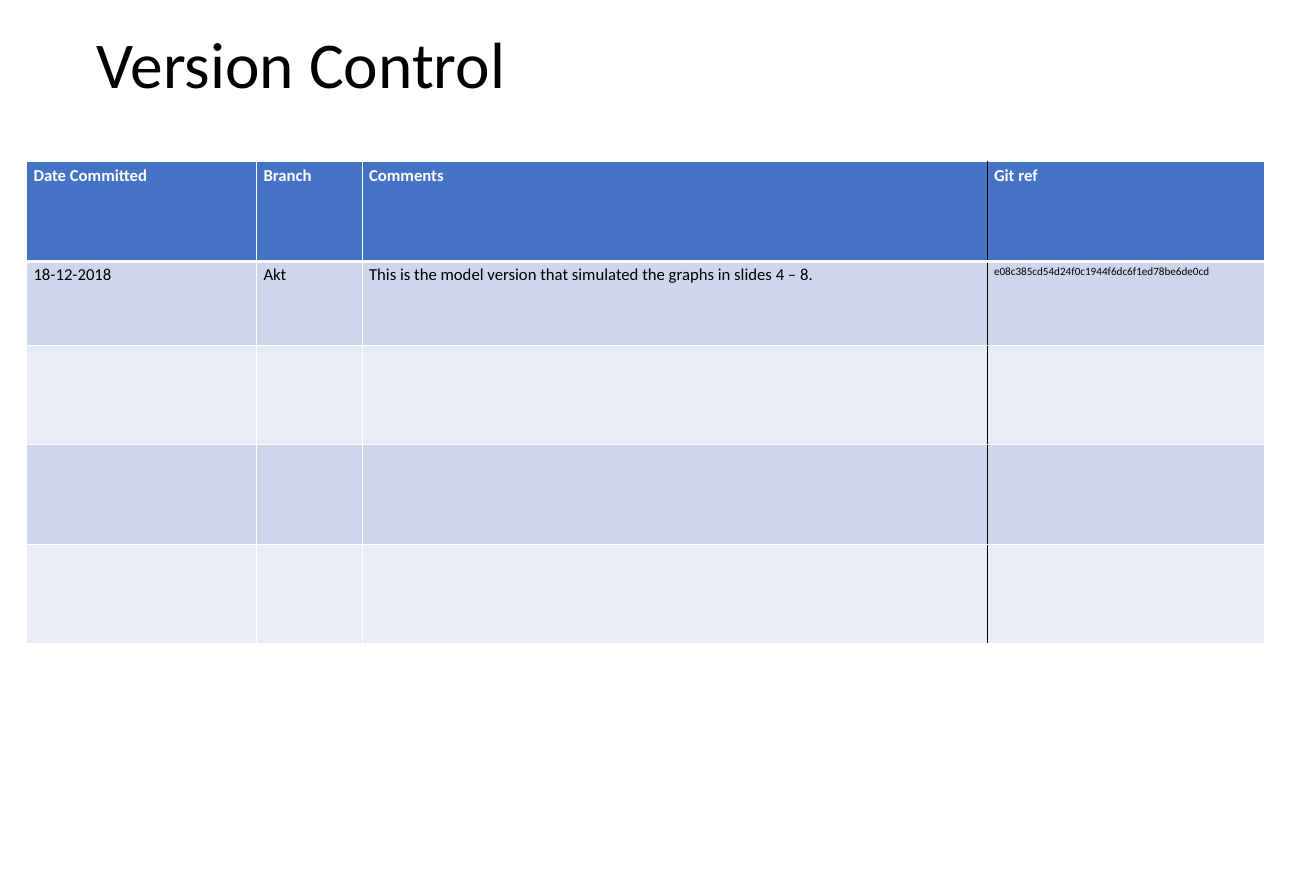
"""Build the Version Control slide with its table of committed model versions."""
from dataclasses import dataclass

from lxml import etree
from pptx import Presentation
from pptx import util as u
from pptx.dml import color
from pptx.enum import text
from pptx.oxml import ns

FONT = "Calibri"
WHITE, BLACK, BLUE = "FFFFFF", "000000", "4472C4"
BANDS = ("CFD5EA", "E9EBF5")
HEADER_HEIGHT = 3.78


@dataclass
class Column:
    heading: str
    width: float
    entry: str
    entry_size: float = 18
    left_line: str = WHITE
    right_line: str = WHITE


@dataclass
class Line:
    side: str
    colour: str
    width: float = 1


COLUMNS = [
    Column("Date Committed", 8.74, "18-12-2018"),
    Column("Branch", 4.01, "Akt"),
    Column("Comments", 23.75,
           "This is the model version that simulated the graphs in slides 4 – 8.",
           right_line=BLACK),
    Column("Git ref", 10.52, "e08c385cd54d24f0c1944f6dc6f1ed78be6de0cd", 12,
           left_line=BLACK),
]
ROW_HEIGHTS = [HEADER_HEIGHT, 3.18] + [HEADER_HEIGHT] * 3


def rgb(value: str) -> color.RGBColor:
    return color.RGBColor.from_string(value)


def write(frame, words: str, size: float, colour: str, bold: bool = False) -> None:
    run = frame.paragraphs[0].add_run()
    run.text = words
    for name, value in {"name": FONT, "size": u.Pt(size), "bold": bold}.items():
        setattr(run.font, name, value)
    run.font.color.rgb = rgb(colour)


def draw_borders(cell, lines: list[Line]) -> None:
    properties = cell._tc.get_or_add_tcPr()
    for position, line in enumerate(lines):
        border = etree.Element(ns.qn(f"a:ln{line.side}"), w=str(u.Pt(line.width)))
        fill = etree.SubElement(border, ns.qn("a:solidFill"))
        etree.SubElement(fill, ns.qn("a:srgbClr"), val=line.colour)
        properties.insert(position, border)


def draw_cell(cell, column: Column, row: int) -> None:
    is_header = row == 0
    cell.fill.solid()
    cell.fill.fore_color.rgb = rgb(BLUE if is_header else BANDS[(row - 1) % 2])
    draw_borders(cell, [Line("L", column.left_line), Line("R", column.right_line),
                        Line("T", WHITE), Line("B", WHITE, 3 if is_header else 1)])
    if is_header:
        write(cell.text_frame, column.heading, 18, WHITE, bold=True)
    elif row == 1:
        write(cell.text_frame, column.entry, column.entry_size, BLACK)


def draw_title(title) -> None:
    place = {"left": 3.43, "top": 1.8, "width": 43.13, "height": 1.55}
    for name, value in place.items():
        setattr(title, name, u.Cm(value))
    frame = title.text_frame
    layout = {"word_wrap": True, "auto_size": text.MSO_AUTO_SIZE.NONE,
              "vertical_anchor": text.MSO_ANCHOR.MIDDLE}
    for name, value in layout.items():
        setattr(frame, name, value)
    frame.paragraphs[0].alignment = text.PP_ALIGN.LEFT
    frame.paragraphs[0].line_spacing = 0.9
    write(frame, "Version Control", 70.4, BLACK)


def draw_versions(slide) -> None:
    width = sum(column.width for column in COLUMNS)
    versions = slide.shapes.add_table(
        len(ROW_HEIGHTS), len(COLUMNS), u.Cm(1.02), u.Cm(6.15),
        u.Cm(width), u.Cm(sum(ROW_HEIGHTS))).table
    for row, height in enumerate(ROW_HEIGHTS):
        versions.rows[row].height = u.Cm(height)
    for index, column in enumerate(COLUMNS):
        versions.columns[index].width = u.Cm(column.width)
        for row in range(len(ROW_HEIGHTS)):
            draw_cell(versions.cell(row, index), column, row)


def main() -> None:
    deck = Presentation()
    deck.slide_width, deck.slide_height = u.Cm(50.01), u.Cm(33.86)
    slide = deck.slides.add_slide(deck.slide_layouts.get_by_name("Title Only"))
    draw_title(slide.shapes.title)
    draw_versions(slide)
    deck.save("out.pptx")


if __name__ == "__main__":
    main()
